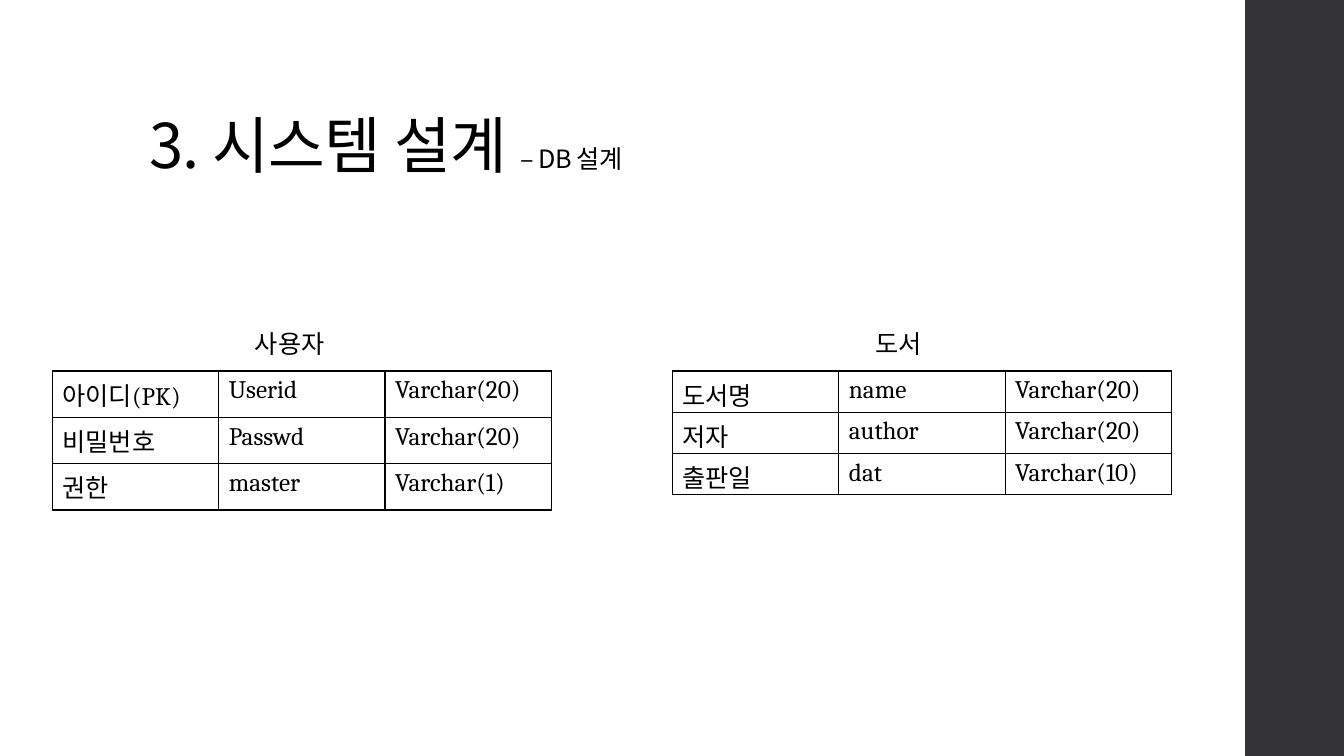
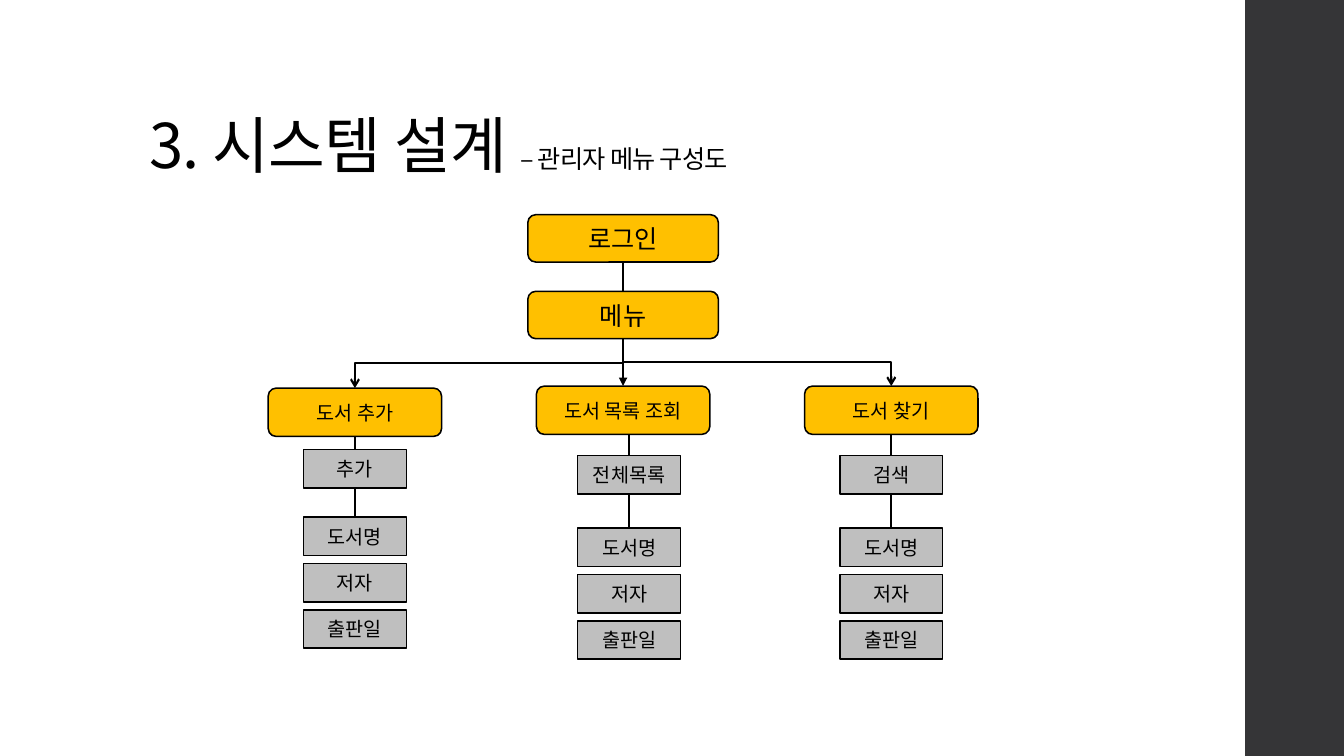
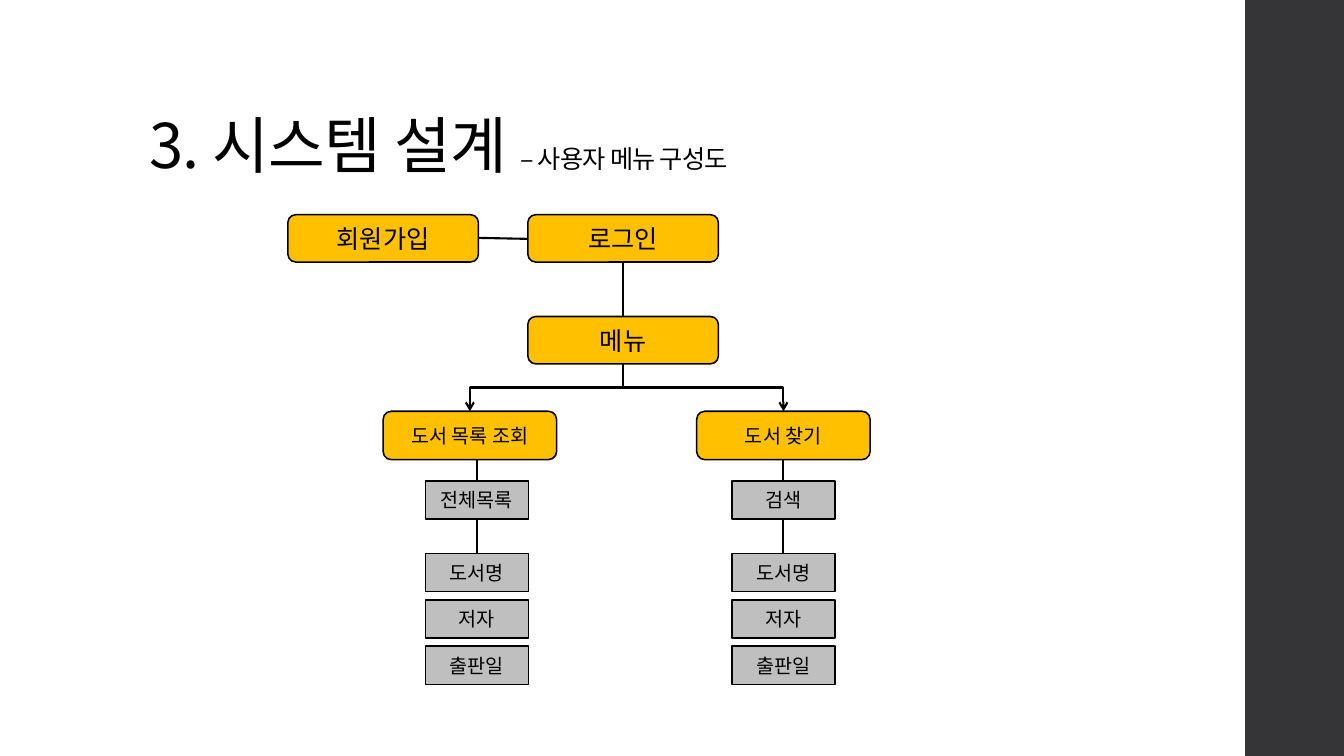
from dataclasses import dataclass

from lxml import etree
from pptx import Presentation
from pptx.dml.color import RGBColor
from pptx.enum.shapes import MSO_CONNECTOR, MSO_SHAPE
from pptx.enum.text import MSO_ANCHOR, MSO_AUTO_SIZE, PP_ALIGN
from pptx.oxml.ns import qn
from pptx.util import Inches, Pt

RECT, ROUNDED = MSO_SHAPE.RECTANGLE, MSO_SHAPE.ROUNDED_RECTANGLE
STRAIGHT, ELBOW = MSO_CONNECTOR.STRAIGHT, MSO_CONNECTOR.ELBOW
LEFT, CENTER = PP_ALIGN.LEFT, PP_ALIGN.CENTER
BOTTOM, MIDDLE = MSO_ANCHOR.BOTTOM, MSO_ANCHOR.MIDDLE
NO_AUTOFIT = MSO_AUTO_SIZE.NONE


@dataclass(frozen=True)
class Theme:
    ink: RGBColor = RGBColor(0x00, 0x00, 0x00)
    band: RGBColor = RGBColor(0x35, 0x35, 0x37)
    menu: RGBColor = RGBColor(0xFF, 0xC0, 0x00)
    field: RGBColor = RGBColor(0xBF, 0xBF, 0xBF)
    sans: str = "Noto Sans CJK KR"
    serif: str = "Cambria"
    heading: int = 44
    body: int = 18
    small: int = 14
    outline: float = 1.1
    link: float = 1.5
    border: float = 1


@dataclass(frozen=True)
class Branch:
    label: str
    action: str
    center: float
    top: float
    stack_center: float
    stack_top: float
    first_field: float = 0.72


SECTION = "3. 시스템 설계 "
FIELDS = ("도서명", "저자", "출판일")
FIELD_PITCH = 0.46
TRUNK = 6.18
MAIN_W, MAIN_H = 1.89, 0.47
BRANCH_W, BRANCH_H = 1.72, 0.48
FIELD_W, FIELD_H = 1.02, 0.38
LOGIN_TOP = 2.13
COLUMN_W = 1.65
TEXT_ROW = 0.41


class Deck:
    def __init__(self, theme):
        self.theme = theme
        self.file = Presentation()
        self.file.slide_width = Inches(13.33)
        self.file.slide_height = Inches(7.5)
        self.slide = None

    def add_slide(self, topic):
        theme = self.theme
        self.slide = self.file.slides.add_slide(self.file.slide_layouts[5])
        self.box(RECT, 12.35, 0, 1, 7.5, theme.band, outlined=False)
        title = self.slide.shapes.title
        place = {"left": 1.38, "top": 0.4, "width": 10.6, "height": 1.45}
        for side, length in place.items():
            setattr(title, side, Inches(length))
        frame = title.text_frame
        layout = {"auto_size": NO_AUTOFIT, "vertical_anchor": BOTTOM, "word_wrap": True}
        for attribute, value in layout.items():
            setattr(frame, attribute, value)
        heading = frame.paragraphs[0]
        heading.alignment = LEFT
        heading.line_spacing = 0.9
        for words, size in ((SECTION, theme.heading), (topic, theme.body)):
            run = self.add_text(heading, words, size, theme.sans)
            run.font._element.set("spc", "-50")

    def add_text(self, paragraph, words, size, typeface):
        run = paragraph.add_run()
        run.text = words
        style = {"size": Pt(size), "name": typeface, "bold": False}
        for attribute, value in style.items():
            setattr(run.font, attribute, value)
        run.font.color.rgb = self.theme.ink
        east_asian = etree.SubElement(run.font._element, qn("a:ea"))
        east_asian.set("typeface", self.theme.sans)
        return run

    def box(self, kind, left, top, width, height, color, words="", size=0, outlined=True):
        shape = self.slide.shapes.add_shape(
            kind, Inches(left), Inches(top), Inches(width), Inches(height))
        shape.shadow.inherit = False
        shape.fill.solid()
        shape.fill.fore_color.rgb = color
        if outlined:
            shape.line.color.rgb = self.theme.ink
            shape.line.width = Pt(self.theme.outline)
        else:
            shape.line.fill.background()
        if words:
            shape.text_frame.vertical_anchor = MIDDLE
            paragraph = shape.text_frame.paragraphs[0]
            paragraph.alignment = CENTER
            self.add_text(paragraph, words, size, self.theme.sans)

    def main_box(self, words, center, top):
        self.box(ROUNDED, center - MAIN_W / 2, top, MAIN_W, MAIN_H,
                 self.theme.menu, words, self.theme.body)

    def field_box(self, words, center, top):
        self.box(RECT, center - FIELD_W / 2, top, FIELD_W, FIELD_H,
                 self.theme.field, words, self.theme.small)

    def link(self, x1, y1, x2, y2, kind=STRAIGHT, head=None):
        connector = self.slide.shapes.add_connector(
            kind, Inches(x1), Inches(y1), Inches(x2), Inches(y2))
        connector.line.color.rgb = self.theme.ink
        connector.line.width = Pt(self.theme.link)
        properties = connector._element.spPr
        if head:
            arrow = etree.SubElement(properties.find(qn("a:ln")), qn("a:tailEnd"))
            arrow.set("type", head)
        etree.SubElement(properties, qn("a:effectLst"))
        return connector

    def drop_link(self, x1, y1, x2, y2):
        if x1 == x2:
            self.link(x1, y1, x2, y2, head="triangle")
            return
        middle_x, middle_y = (x1 + x2) / 2, (y1 + y2) / 2
        half_drop, half_span = (y2 - y1) / 2, abs(x2 - x1) / 2
        side = 1 if x2 < x1 else -1
        elbow = self.link(middle_x - side * half_drop, middle_y - half_span,
                          middle_x + side * half_drop, middle_y + half_span,
                          ELBOW, "arrow")
        quarter_turns = 1 if side == 1 else 3
        elbow._element.spPr.find(qn("a:xfrm")).set("rot", str(quarter_turns * 5400000))

    def caption(self, words, left, top):
        label = self.slide.shapes.add_textbox(
            Inches(left), Inches(top), Inches(1.51), Inches(0.4))
        label.text_frame.word_wrap = True
        self.add_text(label.text_frame.paragraphs[0], words, self.theme.body, self.theme.serif)

    def border_cell(self, cell):
        properties = cell._tc.get_or_add_tcPr()
        for position, edge in enumerate(("a:lnL", "a:lnR", "a:lnT", "a:lnB")):
            line = etree.Element(qn(edge), w=str(Pt(self.theme.border)))
            fill = etree.SubElement(line, qn("a:solidFill"))
            etree.SubElement(fill, qn("a:srgbClr"), val=str(self.theme.ink))
            properties.insert(position, line)

    def schema(self, name, name_left, left, row_height, records):
        self.caption(name, name_left, 3.21)
        columns = len(records[0])
        table = self.slide.shapes.add_table(
            len(records), columns, Inches(left), Inches(3.68),
            Inches(COLUMN_W * columns), Inches(row_height * len(records))).table
        for banding in ("first_row", "horz_banding"):
            setattr(table, banding, False)
        for row, record in zip(table.rows, records):
            row.height = Inches(row_height)
            for cell, words in zip(row.cells, record):
                cell.margin_bottom = Inches(row_height - TEXT_ROW)
                cell.fill.background()
                self.border_cell(cell)
                self.add_text(cell.text_frame.paragraphs[0], words,
                              self.theme.body, self.theme.serif)

    def branch(self, branch, menu_bottom):
        self.drop_link(TRUNK, menu_bottom, branch.center, branch.top)
        self.box(ROUNDED, branch.center - BRANCH_W / 2, branch.top, BRANCH_W, BRANCH_H,
                 self.theme.menu, branch.label, self.theme.small)
        stack, action_top = branch.stack_center, branch.stack_top
        fields_top = action_top + branch.first_field
        self.link(stack, branch.top + BRANCH_H, stack, action_top)
        self.field_box(branch.action, stack, action_top)
        self.link(stack, action_top + FIELD_H, stack, fields_top)
        for index, field in enumerate(FIELDS):
            self.field_box(field, stack, fields_top + index * FIELD_PITCH)

    def menu_tree(self, menu_top, branches):
        self.main_box("로그인", TRUNK, LOGIN_TOP)
        self.link(TRUNK, LOGIN_TOP + MAIN_H, TRUNK, menu_top)
        self.main_box("메뉴", TRUNK, menu_top)
        for branch in branches:
            self.branch(branch, menu_top + MAIN_H)


def main():
    deck = Deck(Theme())

    deck.add_slide("– DB 설계")
    deck.schema("사용자", 2.43, 0.52, 0.46, (
        ("아이디(PK)", "Userid", "Varchar(20)"),
        ("비밀번호", "Passwd", "Varchar(20)"),
        ("권한", "master", "Varchar(1)"),
    ))
    deck.schema("도서", 8.58, 6.67, TEXT_ROW, (
        ("도서명", "name", "Varchar(20)"),
        ("저자", "author", "Varchar(20)"),
        ("출판일", "dat", "Varchar(10)"),
    ))

    deck.add_slide("– 관리자 메뉴 구성도")
    deck.menu_tree(2.89, (
        Branch("도서 추가", "추가", 3.52, 3.85, 3.52, 4.46, 0.67),
        Branch("도서 목록 조회", "전체목록", TRUNK, 3.83, 6.24, 4.52),
        Branch("도서 찾기", "검색", 8.84, 3.83, 8.84, 4.52),
    ))

    deck.add_slide("– 사용자 메뉴 구성도")
    deck.menu_tree(3.14, (
        Branch("도서 목록 조회", "전체목록", 4.66, 4.08, 4.73, 4.77),
        Branch("도서 찾기", "검색", 7.77, 4.08, 7.77, 4.77),
    ))
    signup_center = 3.8
    deck.main_box("회원가입", signup_center, LOGIN_TOP)
    deck.link(signup_center + MAIN_W / 2, 2.36, TRUNK - MAIN_W / 2, 2.37)

    deck.file.save("out.pptx")


if __name__ == "__main__":
    main()
